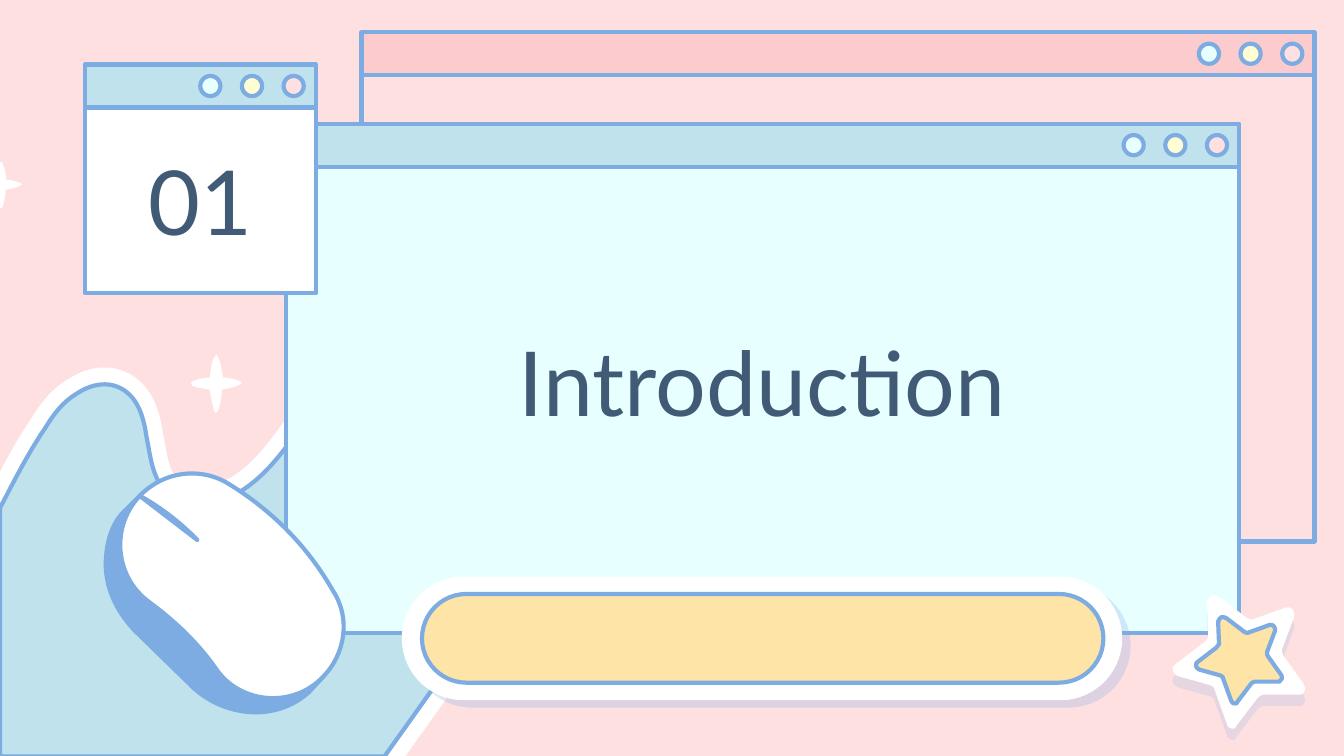
"""Build the pastel desktop-window section slide "01 Introduction"."""
from lxml.etree import SubElement
from pptx import Presentation
from pptx.dml.color import RGBColor
from pptx.enum.shapes import MSO_SHAPE as SHAPE
from pptx.enum.text import MSO_ANCHOR as ANCHOR, MSO_AUTO_SIZE as AUTO, PP_ALIGN as ALIGN
from pptx.oxml.ns import qn
from pptx.util import Inches, Pt

PINK = RGBColor(0xFF, 0xE0, 0xE1)
ROSE = RGBColor(0xFC, 0xCB, 0xCD)
SKY = RGBColor(0xBF, 0xE2, 0xEC)
ICE = RGBColor(0xE7, 0xFF, 0xFF)
CREAM = RGBColor(0xFF, 0xFD, 0xD1)
GOLD = RGBColor(0xFE, 0xE4, 0xA7)
BLUE = RGBColor(0x7C, 0xAC, 0xE1)
NAVY = RGBColor(0x41, 0x5A, 0x75)
WHITE = RGBColor(0xFF, 0xFF, 0xFF)

FONT, TEXT_SIZE, OUTLINE = "Lato", 48, 2.25
BAR_HEIGHT, DOT, DOT_STEP, DOT_INSET = 0.32, 0.15, 0.31, 0.86
DOT_COLORS = [ICE, CREAM, PINK]

WINDOWS = [
    (2.69, 0.24, 7.09, 3.47, ROSE, PINK),
    (2.13, 0.92, 7.09, 3.47, SKY, ICE),
    (0.63, 0.48, 1.72, 1.38, SKY, WHITE),
]
HEADINGS = [
    ("Introduction", (2.39, 1.5, 6.56, 2.63), 0,
     {"vertical_anchor": ANCHOR.BOTTOM, "margin_bottom": Inches(0.9)}),
    ("01", (0.96, 0.98, 1.07, 1.01), 10,
     {"vertical_anchor": ANCHOR.MIDDLE, "margin_bottom": Inches(0.1)}),
]
TEXT_FORMAT = {"word_wrap": True, "auto_size": AUTO.NONE, "margin_left": Inches(0.1),
               "margin_right": Inches(0.1), "margin_top": Inches(0.1)}

HILL = [
    (3.33, 2.47), (3.04, 2.47, 2.75, 2.6, 2.54, 2.8), (2.28, 3.05, 2.13, 3.42, 1.83, 3.63),
    (1.73, 3.7, 1.6, 3.75, 1.48, 3.75), (1.39, 3.75, 1.3, 3.72, 1.23, 3.65),
    (1.13, 3.55, 1.12, 3.39, 1.09, 3.25), (1.07, 3.11, 1.03, 2.96, 0.9, 2.89),
    (0.86, 2.87, 0.82, 2.86, 0.78, 2.86), (0.7, 2.86, 0.63, 2.89, 0.57, 2.93),
    (0.47, 2.99, 0.4, 3.08, 0.34, 3.18), (0.21, 3.37, 0.11, 3.57, 0, 3.78),
    (0, 5.63), (2.86, 5.63), (3.21, 5.14, 3.56, 4.65, 3.9, 4.15),
    (4.06, 3.92, 4.22, 3.68, 4.25, 3.41), (4.28, 3.02, 4, 2.64, 3.62, 2.52),
    (3.53, 2.49, 3.43, 2.47, 3.33, 2.47),
]
SPARKLE = [
    (1.61, 2.64), (1.6, 2.64, 1.6, 2.64, 1.6, 2.65), (1.57, 2.69, 1.57, 2.75, 1.56, 2.81),
    (1.52, 2.81, 1.47, 2.82, 1.43, 2.84), (1.42, 2.84, 1.42, 2.86, 1.43, 2.87),
    (1.47, 2.89, 1.52, 2.89, 1.56, 2.9), (1.57, 2.96, 1.59, 3.06, 1.6, 3.07),
    (1.6, 3.07, 1.61, 3.07, 1.61, 3.07), (1.61, 3.07, 1.62, 3.06, 1.62, 3.06),
    (1.64, 3.01, 1.65, 2.95, 1.65, 2.9), (1.7, 2.89, 1.75, 2.88, 1.79, 2.86),
    (1.8, 2.85, 1.8, 2.84, 1.79, 2.84), (1.75, 2.82, 1.7, 2.81, 1.66, 2.81),
    (1.65, 2.75, 1.64, 2.69, 1.62, 2.65), (1.62, 2.64, 1.61, 2.64, 1.61, 2.64),
]
STAR = [
    (9.02, 4.43), (9.03, 4.43, 9.05, 4.43, 9.07, 4.44), (9.28, 4.6),
    (9.29, 4.61, 9.31, 4.61, 9.32, 4.61), (9.57, 4.52), (9.61, 4.51, 9.64, 4.55, 9.63, 4.59),
    (9.54, 4.83), (9.54, 4.85, 9.54, 4.87, 9.55, 4.88), (9.7, 5.09),
    (9.72, 5.12, 9.71, 5.16, 9.68, 5.17), (9.68, 5.17, 9.67, 5.17, 9.66, 5.17), (9.4, 5.17),
    (9.39, 5.17, 9.37, 5.18, 9.36, 5.19), (9.2, 5.4), (9.2, 5.41, 9.19, 5.41, 9.19, 5.42),
    (9.16, 5.43, 9.13, 5.41, 9.13, 5.39), (9.04, 5.14), (9.04, 5.12, 9.03, 5.11, 9.01, 5.1),
    (8.76, 5.03), (8.72, 5.01, 8.71, 4.96, 8.75, 4.94), (8.96, 4.78),
    (8.98, 4.77, 8.98, 4.76, 8.99, 4.74), (8.98, 4.48), (8.99, 4.46, 9, 4.44, 9.02, 4.43),
]
MOUSE_SIDE = [
    (1.05, 3.68), (2.41, 5.03), (2.3, 5.15), (2.2, 5.24, 2.08, 5.29, 1.94, 5.3),
    (1.74, 5.31, 1.54, 5.23, 1.4, 5.08), (1, 4.69), (0.86, 4.54, 0.77, 4.35, 0.79, 4.14),
    (0.8, 4.01, 0.84, 3.88, 0.94, 3.79),
]
MOUSE_TOP = [
    (1.05, 3.68), (1.22, 3.51, 1.49, 3.47, 1.7, 3.6), (2.01, 3.79, 2.28, 4.05, 2.48, 4.4),
    (2.61, 4.6, 2.57, 4.87, 2.4, 5.04), (2.18, 5.27, 1.79, 5.24, 1.61, 4.98),
    (1.47, 4.78, 1.3, 4.62, 1.11, 4.48), (0.85, 4.29, 0.82, 3.91, 1.05, 3.68),
]
MOUSE_CREASE = [(1.04, 3.69), (1.04, 3.69, 1.26, 3.8, 1.47, 4.02)]


def paint(shape, fill, line=None, width=OUTLINE):
    shape.shadow.inherit = False
    shape.fill.solid()
    shape.fill.fore_color.rgb = fill
    if line is None:
        shape.line.fill.background()
    else:
        shape.line.color.rgb = line
        shape.line.width = Pt(width)
    return shape


def add_preset(slide, kind, box, fill, line=None):
    return paint(slide.shapes.add_shape(kind, *map(Inches, box)), fill, line)


def add_outline(slide, outline, fill, line=None, width=OUTLINE):
    start, *steps = outline
    corners = [(Inches(x), Inches(y)) for step in steps for x, y in zip(step[::2], step[1::2])]
    builder = slide.shapes.build_freeform(Inches(start[0]), Inches(start[1]))
    builder.add_line_segments(corners, close=True)
    shape = builder.convert_to_shape()
    segments = iter(list(shape._element.iter(qn("a:lnTo"))))
    for step in steps:
        segment = next(segments)
        if len(step) == 6:
            segment.tag = qn("a:cubicBezTo")
            for extra in (next(segments), next(segments)):
                segment.append(extra[0])
                extra.getparent().remove(extra)
    return paint(shape, fill, line, width)


def moved(outline, center, target, scale):
    return [tuple(target[i % 2] + (value - center[i % 2]) * scale
                  for i, value in enumerate(step)) for step in outline]


def cast_shadow(shape, alpha, angle):
    effects = shape._element.spPr.find(qn("a:effectLst"))
    shadow = SubElement(effects, qn("a:outerShdw"), dist=str(Pt(6)), dir=str(angle * 60000),
                        algn="bl", rotWithShape="0")
    color = SubElement(shadow, qn("a:srgbClr"), val=str(BLUE))
    SubElement(color, qn("a:alpha"), val=str(alpha * 1000))


def add_window(slide, left, top, width, body_height, bar_fill, body_fill):
    body = (left, top + BAR_HEIGHT, width, body_height)
    add_preset(slide, SHAPE.RECTANGLE, body, body_fill, BLUE)
    add_preset(slide, SHAPE.RECTANGLE, (left, top, width, BAR_HEIGHT), bar_fill, BLUE)
    for i, fill in enumerate(DOT_COLORS):
        dot_left = left + width - DOT_INSET + i * DOT_STEP
        dot_top = top + (BAR_HEIGHT - DOT) / 2
        add_preset(slide, SHAPE.OVAL, (dot_left, dot_top, DOT, DOT), fill, BLUE)


def set_heading(slide, heading, text, box, space_before, extra_format):
    slide.shapes._spTree.append(heading._element)
    heading.left, heading.top, heading.width, heading.height = map(Inches, box)
    frame = heading.text_frame
    frame.text = text
    for name, value in {**TEXT_FORMAT, **extra_format}.items():
        setattr(frame, name, value)
    line = frame.paragraphs[0]
    line.alignment, line.line_spacing = ALIGN.CENTER, 1.0
    line.space_before = Pt(space_before)
    font = line.runs[0].font
    font.name, font.size, font.color.rgb = FONT, Pt(TEXT_SIZE), NAVY


def main():
    deck = Presentation()
    deck.slide_width, deck.slide_height = Inches(10), Inches(10 * 9 / 16)
    slide = deck.slides.add_slide(deck.slide_layouts[0])
    slide.background.fill.solid()
    slide.background.fill.fore_color.rgb = PINK
    headings = list(slide.placeholders)

    add_outline(slide, HILL, SKY, WHITE, 18)
    add_outline(slide, HILL, SKY, BLUE)
    add_outline(slide, moved(SPARKLE, (1.61, 2.86), (0.01, 1.38), 0.81), WHITE)
    for window in WINDOWS:
        add_window(slide, *window)
    for heading, content in zip(headings, HEADINGS):
        set_heading(slide, heading, *content)

    button_rim = add_preset(slide, SHAPE.ROUNDED_RECTANGLE, (2.99, 4.29, 5.36, 0.92), WHITE)
    button = add_preset(slide, SHAPE.ROUNDED_RECTANGLE, (3.14, 4.42, 5.07, 0.66), GOLD, BLUE)
    for pill in (button_rim, button):
        pill.adjustments[0] = 0.5
    cast_shadow(button_rim, 25, 41)

    for outline, fill in ((MOUSE_SIDE, BLUE), (MOUSE_TOP, WHITE), (MOUSE_CREASE, BLUE)):
        add_outline(slide, outline, fill, BLUE)
    cast_shadow(add_outline(slide, STAR, WHITE), 19, 90)
    add_outline(slide, moved(STAR, (9.22, 4.92), (9.22, 4.91), 0.65), GOLD, BLUE)
    add_outline(slide, SPARKLE, WHITE)
    deck.save("out.pptx")


if __name__ == "__main__":
    main()
